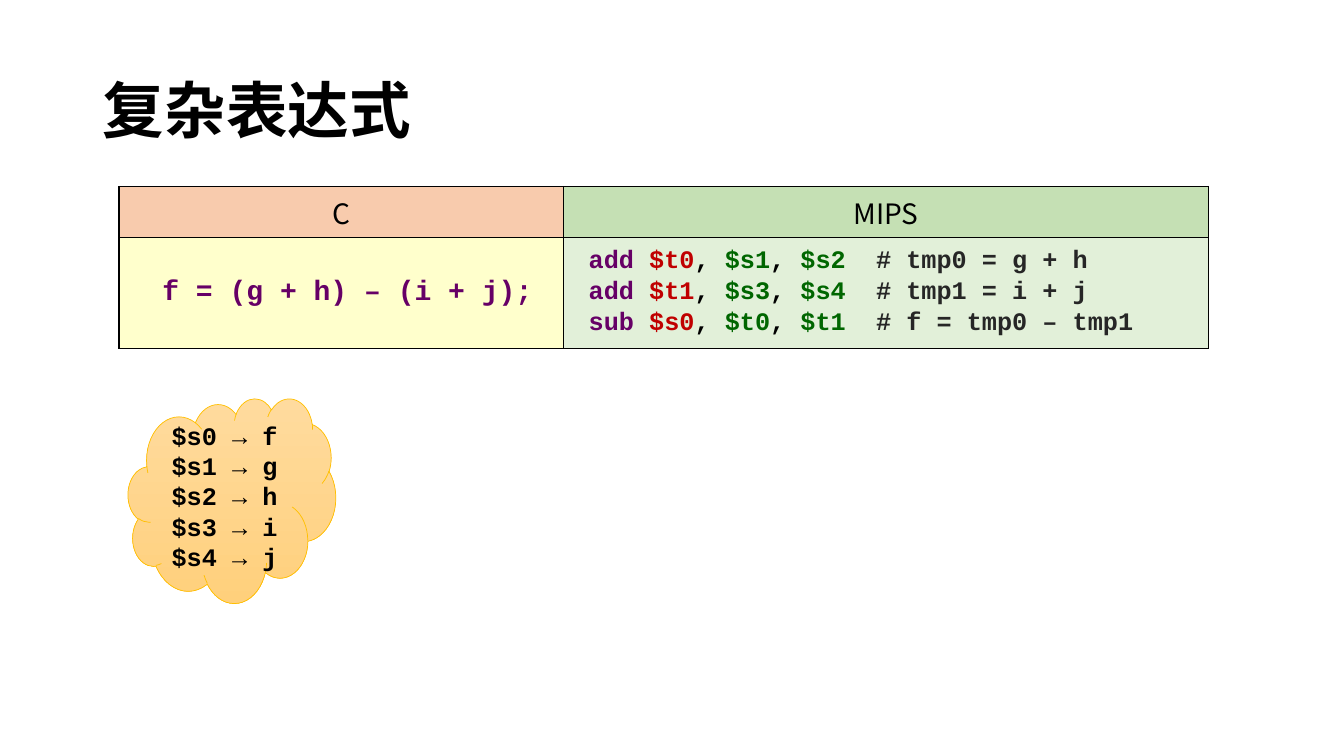
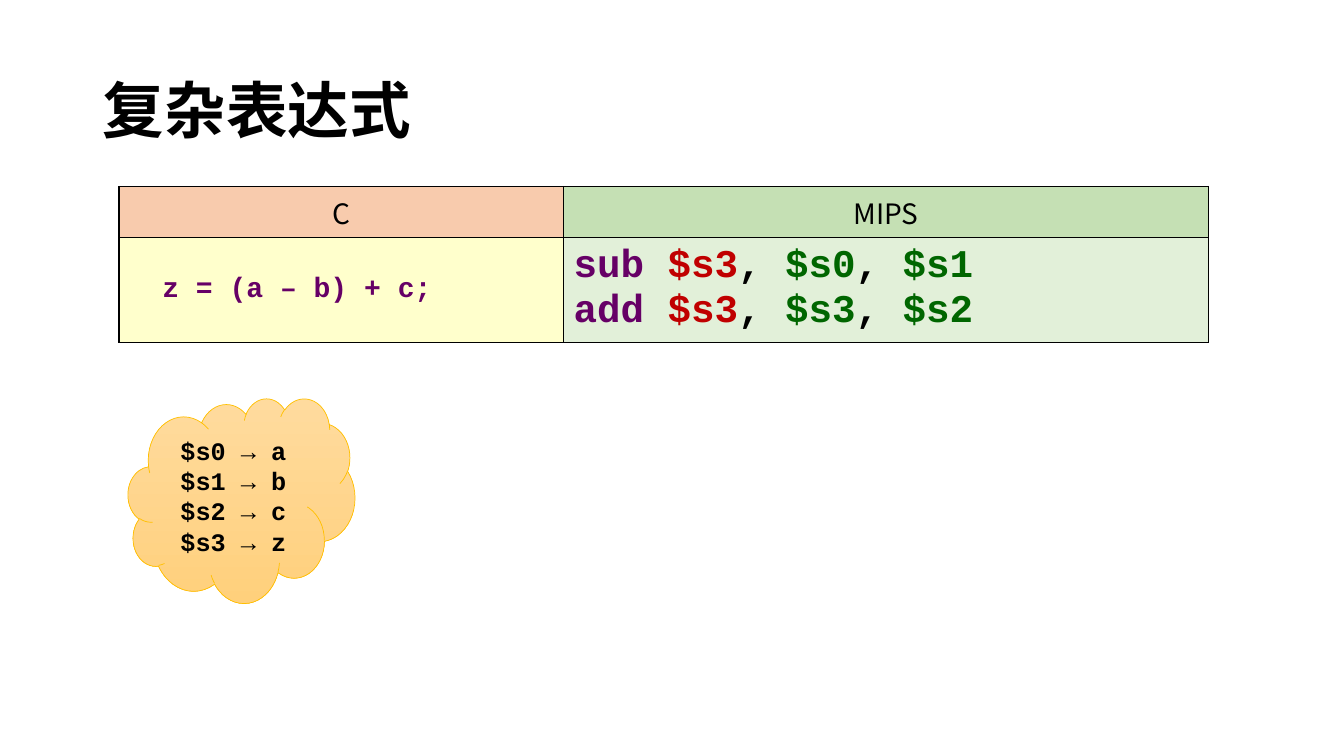
import pptx
import pptx.dml.color
import pptx.enum.shapes
import pptx.enum.text
import pptx.oxml
import pptx.oxml.ns
import pptx.util

COLORS = {
    "black": "000000",
    "c_header": "F8CBAD",
    "mips_header": "C5E0B4",
    "c_body": "FFFFCC",
    "mips_body": "E2F0D9",
    "opcode": "660066",
    "target": "C00000",
    "operand": "006600",
    "comment": "262626",
    "cloud_top": "FFDB9E",
    "cloud_bottom": "FFD07C",
    "cloud_line": "FFC000",
}
TEXT_FONT = "Noto Sans CJK SC"
CODE_FONT = "Courier New"
ALIGN = pptx.enum.text.PP_ALIGN
MIDDLE = pptx.enum.text.MSO_ANCHOR.MIDDLE

SLIDES = [
    {
        "c": "f = (g + h) – (i + j);",
        "mips": [
            "add $t0, $s1, $s2  # tmp0 = g + h",
            "add $t1, $s3, $s4  # tmp1 = i + j",
            "sub $s0, $t0, $t1  # f = tmp0 – tmp1",
        ],
        "mips_size": 18,
        "mips_indent": 0.25,
        "line_gap": 1.8,
        "body_rows": 14.67,
        "variables": "fghij",
        "cloud_columns": 15.45,
    },
    {
        "c": "z = (a – b) + c;",
        "mips": ["sub $s3, $s0, $s1", "add $s3, $s3, $s2"],
        "mips_size": 28,
        "mips_indent": 0.1,
        "line_gap": 0,
        "body_rows": 13.87,
        "variables": "abcz",
        "cloud_columns": 16.88,
    },
]


def color(name):
    return pptx.dml.color.RGBColor.from_string(COLORS[name])


def style(paragraph, font_name, size, color_name, bold=False):
    paragraph.font.name = font_name
    paragraph.font.size = pptx.util.Pt(size)
    paragraph.font.bold = bold
    paragraph.font.color.rgb = color(color_name)


presentation = pptx.Presentation()
presentation.slide_width = pptx.util.Inches(13.33)
presentation.slide_height = pptx.util.Inches(7.5)
# The grid has 100 columns and 100 rows.
column = presentation.slide_width / 100
row = presentation.slide_height / 100

for content in SLIDES:
    slide = presentation.slides.add_slide(presentation.slide_layouts[5])

    title = slide.shapes.title
    title.left, title.top = int(6.9 * column), int(5.33 * row)
    title.width, title.height = int(86.25 * column), int(19.33 * row)
    title.text_frame.vertical_anchor = MIDDLE
    paragraph = title.text_frame.paragraphs[0]
    paragraph.alignment = ALIGN.LEFT
    paragraph.line_spacing = 0.9
    run = paragraph.add_run()
    run.text = "复杂表达式"
    style(paragraph, TEXT_FONT, 44, "black", bold=True)
    east_asian = pptx.oxml.parse_xml(
        f'<a:ea {pptx.oxml.ns.nsdecls("a")} typeface="{TEXT_FONT}"/>')
    run._r.get_or_add_rPr().append(east_asian)

    # Register map
    cloud = slide.shapes.add_shape(
        pptx.enum.shapes.MSO_SHAPE.CLOUD, int(9.53 * column), int(52.67 * row),
        int(content["cloud_columns"] * column), int(27.07 * row))
    cloud.shadow.inherit = False
    cloud.fill.gradient()
    cloud.fill.gradient_angle = 270
    for stop, name in zip(cloud.fill.gradient_stops, ("cloud_top", "cloud_bottom")):
        stop.color.rgb = color(name)
    cloud.line.color.rgb = color("cloud_line")
    cloud.line.width = pptx.util.Pt(0.5)
    frame = cloud.text_frame
    frame.vertical_anchor = MIDDLE
    for index, variable in enumerate(content["variables"]):
        paragraph = frame.add_paragraph() if index else frame.paragraphs[0]
        paragraph.alignment = ALIGN.CENTER
        for text, bold in ((f"$s{index}", True), (" → ", False), (variable, True)):
            run = paragraph.add_run()
            run.text = text
            run.font.bold = bold
        style(paragraph, CODE_FONT, 18, "black", bold=True)

    # Code table
    widths = (33.08 * column, 48 * column)
    heights = (6.72 * row, content["body_rows"] * row)
    table = slide.shapes.add_table(
        2, 2, int(8.85 * column), int(24.67 * row),
        int(sum(widths)), int(sum(heights))).table
    table.first_row = table.horz_banding = False
    for index in range(2):
        table.columns[index].width = int(widths[index])
        table.rows[index].height = int(heights[index])

    fills = ("c_header", "mips_header", "c_body", "mips_body")
    for cell, fill in zip(table.iter_cells(), fills):
        for side in ("lnL", "lnR", "lnT", "lnB"):
            cell._tc.get_or_add_tcPr().append(pptx.oxml.parse_xml(
                f'<a:{side} {pptx.oxml.ns.nsdecls("a")} w="12700"><a:solidFill>'
                f'<a:srgbClr val="{COLORS["black"]}"/></a:solidFill></a:{side}>'))
        cell.fill.solid()
        cell.fill.fore_color.rgb = color(fill)
        cell.vertical_anchor = MIDDLE

    for index, heading in enumerate(("C", "MIPS")):
        paragraph = table.cell(0, index).text_frame.paragraphs[0]
        paragraph.text = heading
        paragraph.alignment = ALIGN.CENTER
        style(paragraph, TEXT_FONT, 20, "black")

    c_cell = table.cell(1, 0)
    c_cell.margin_left = pptx.util.Inches(0.43)
    paragraph = c_cell.text_frame.paragraphs[0]
    paragraph.text = content["c"]
    style(paragraph, CODE_FONT, 20, "opcode", bold=True)

    mips_cell = table.cell(1, 1)
    mips_cell.margin_left = pptx.util.Inches(content["mips_indent"])
    frame = mips_cell.text_frame
    for index, line in enumerate(content["mips"]):
        paragraph = frame.add_paragraph() if index else frame.paragraphs[0]
        if index:
            paragraph.space_before = pptx.util.Pt(content["line_gap"])
        instruction, mark, comment = line.partition("#")
        opcode, operands = instruction.split(" ", 1)
        target, first, second = operands.split(", ")
        pieces = [(opcode + " ", "opcode"), (target, "target"), (", ", "black"),
                  (first, "operand"), (", ", "black"), (second, "operand")]
        if mark:
            pieces.append((mark + comment, "comment"))
        for text, name in pieces:
            run = paragraph.add_run()
            run.text = text
            run.font.color.rgb = color(name)
        style(paragraph, CODE_FONT, content["mips_size"], "black", bold=True)

presentation.save("out.pptx")
